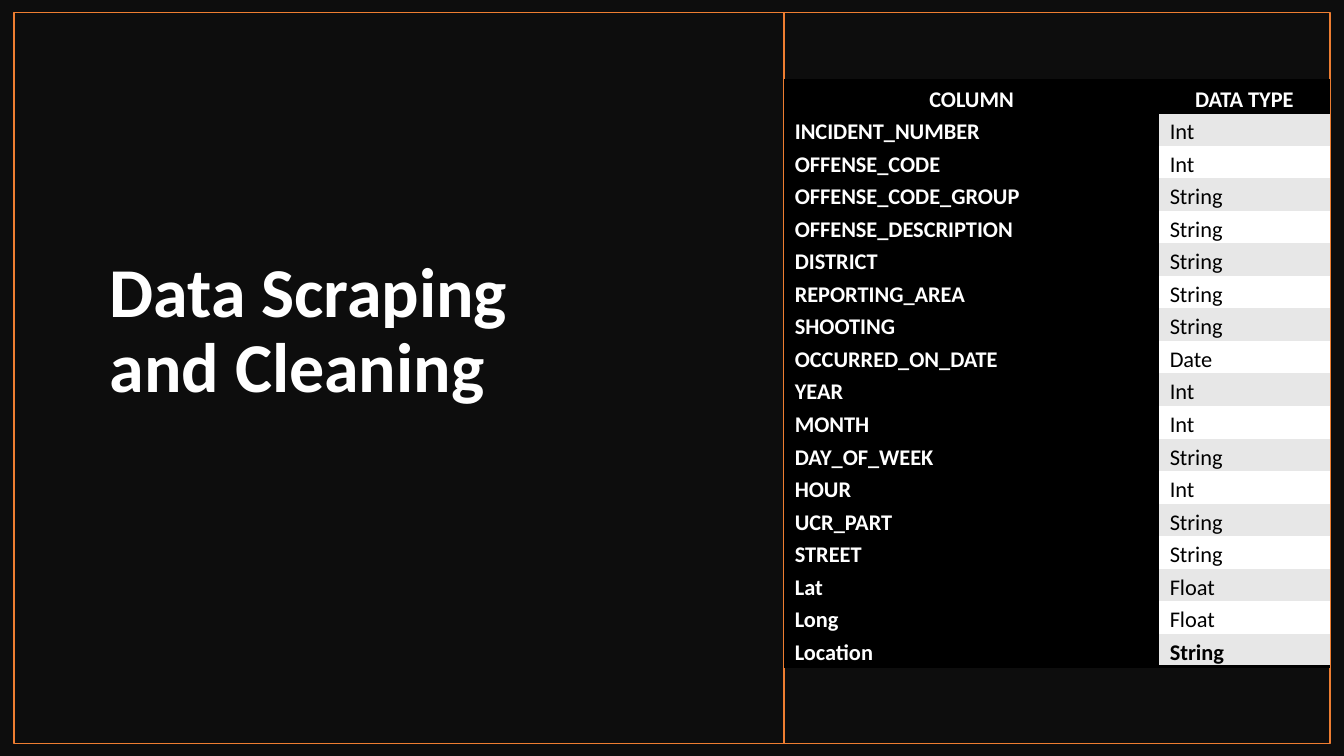
from lxml.etree import SubElement
from pptx import Presentation
from pptx.dml.color import RGBColor
from pptx.enum.shapes import MSO_CONNECTOR, MSO_SHAPE
from pptx.enum.text import MSO_ANCHOR, MSO_AUTO_SIZE, PP_ALIGN
from pptx.oxml.ns import qn
from pptx.util import Cm, Pt

COLOURS = {
    "backdrop": "0D0D0D",
    "accent": "ED7D31",
    "black": "000000",
    "white": "FFFFFF",
    "band": "E7E7E7",
}
FONT = "Calibri"
PLAIN_TABLE_STYLE = "{2D5ABB26-0587-4C30-8999-92F81FD0307C}"
COLUMN_TYPES = [
    ("COLUMN", "DATA TYPE"),
    ("INCIDENT_NUMBER", "Int"),
    ("OFFENSE_CODE", "Int"),
    ("OFFENSE_CODE_GROUP", "String"),
    ("OFFENSE_DESCRIPTION", "String"),
    ("DISTRICT", "String"),
    ("REPORTING_AREA", "String"),
    ("SHOOTING", "String"),
    ("OCCURRED_ON_DATE", "Date"),
    ("YEAR", "Int"),
    ("MONTH", "Int"),
    ("DAY_OF_WEEK", "String"),
    ("HOUR", "Int"),
    ("UCR_PART", "String"),
    ("STREET", "String"),
    ("Lat", "Float"),
    ("Long", "Float"),
    ("Location", "String"),
]
CELL_FORMAT = {
    "vertical_anchor": MSO_ANCHOR.BOTTOM,
    "margin_left": Cm(0.27),
    "margin_right": Cm(0.27),
    "margin_top": 0,
    "margin_bottom": 0,
}


def colour(name):
    return RGBColor.from_string(COLOURS[name])


def apply_format(target, values):
    for attribute, value in values.items():
        setattr(target, attribute, value)


def format_paragraph(paragraph, size, colour_name, bold, align, spacing):
    apply_format(paragraph, {"alignment": align, "line_spacing": spacing})
    for run in paragraph.runs:
        apply_format(run.font, {"name": FONT, "size": Pt(size), "bold": bold})
        run.font.color.rgb = colour(colour_name)


def add_panel(slide, left, top, width, height, fill=None, line=None):
    panel = slide.shapes.add_shape(
        MSO_SHAPE.RECTANGLE, Cm(left), Cm(top), Cm(width), Cm(height))
    panel.shadow.inherit = False
    if fill:
        panel.fill.solid()
        panel.fill.fore_color.rgb = colour(fill)
    else:
        panel.fill.background()
    if line:
        panel.line.color.rgb = colour(line)
        panel.line.width = Pt(1)
    else:
        panel.line.fill.background()


def add_divider(slide, x, top, bottom):
    divider = slide.shapes.add_connector(
        MSO_CONNECTOR.STRAIGHT, Cm(x), Cm(top), Cm(x), Cm(bottom))
    divider.line.color.rgb = colour("accent")
    divider.line.width = Pt(1)
    SubElement(divider._element.spPr, qn("a:effectLst"))


def place_title(slide, wording):
    title = slide.shapes.title
    slide.shapes._spTree.append(title._element)
    apply_format(title, {"left": Cm(2.51), "top": Cm(3.78),
                         "width": Cm(12.8), "height": Cm(6.63)})
    apply_format(title.text_frame, {
        "text": wording, "word_wrap": True,
        "auto_size": MSO_AUTO_SIZE.NONE,
        "vertical_anchor": MSO_ANCHOR.BOTTOM})
    format_paragraph(title.text_frame.paragraphs[0], 50, "white", True,
                     PP_ALIGN.LEFT, 0.9)


def add_cell_rules(cell, sides):
    properties = cell._tc.get_or_add_tcPr()
    for position, side in enumerate(sides):
        rule = SubElement(properties, qn(f"a:ln{side}"), w=str(Pt(2)))
        fill = SubElement(rule, qn("a:solidFill"))
        SubElement(fill, qn("a:srgbClr"), val=COLOURS["black"])
        properties.insert(position, rule)


def fill_cell(cell, wording, fill, text_colour, bold, align):
    cell.text = wording
    apply_format(cell, CELL_FORMAT)
    cell.fill.solid()
    cell.fill.fore_color.rgb = colour(fill)
    format_paragraph(cell.text_frame.paragraphs[0], 16, text_colour, bold,
                     align, 1.07)


def add_type_table(slide):
    widths = (9.45, 4.3)
    row_height = 0.82
    last = len(COLUMN_TYPES) - 1
    table = slide.shapes.add_table(
        len(COLUMN_TYPES), len(widths), Cm(19.76), Cm(2.03),
        Cm(sum(widths)), Cm(row_height * len(COLUMN_TYPES))).table
    table._tbl.tblPr.find(qn("a:tableStyleId")).text = PLAIN_TABLE_STYLE
    for column, width in zip(table.columns, widths):
        column.width = Cm(width)
    for index, wordings in enumerate(COLUMN_TYPES):
        table.rows[index].height = Cm(row_height)
        header = index == 0
        align = PP_ALIGN.CENTER if header else PP_ALIGN.LEFT
        sides = "TB" if header else "B" if index == last else ""
        for side, wording in enumerate(wordings):
            cell = table.cell(index, side)
            if header or side == 0:
                fill_cell(cell, wording, "black", "white", True, align)
            else:
                band = "band" if index % 2 else "white"
                fill_cell(cell, wording, band, "black", index == last, align)
            add_cell_rules(cell, sides)


def main():
    deck = Presentation()
    deck.slide_width, deck.slide_height = Cm(33.87), Cm(19.05)
    slide = deck.slides.add_slide(deck.slide_layouts[5])
    add_panel(slide, 0, 0, 33.87, 19.05, fill="backdrop")
    place_title(slide, "Data Scraping and Cleaning")
    add_divider(slide, 19.76, 0.32, 18.73)
    add_panel(slide, 0.35, 0.32, 33.17, 18.41, line="accent")
    add_type_table(slide)
    deck.save("out.pptx")


if __name__ == "__main__":
    main()
